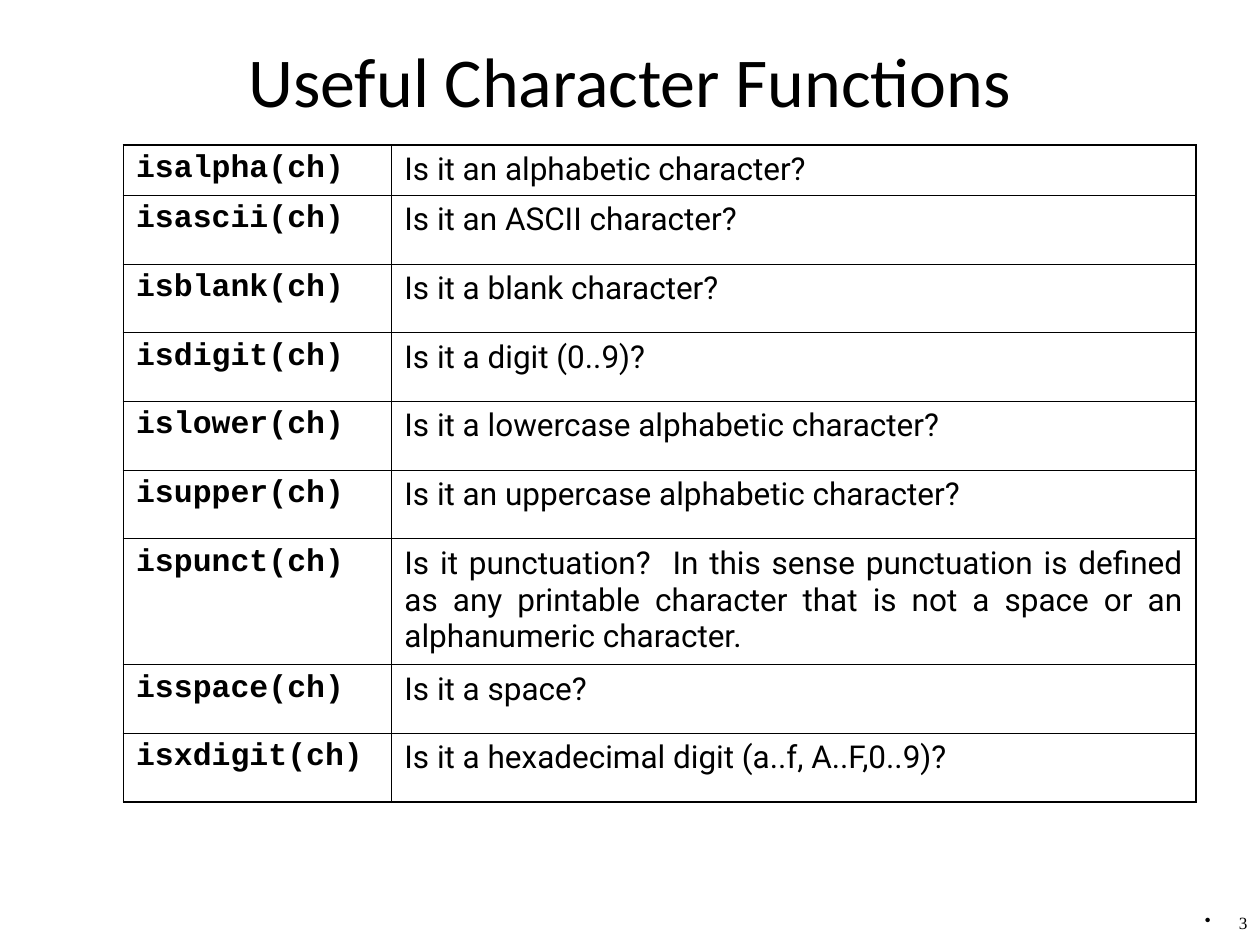
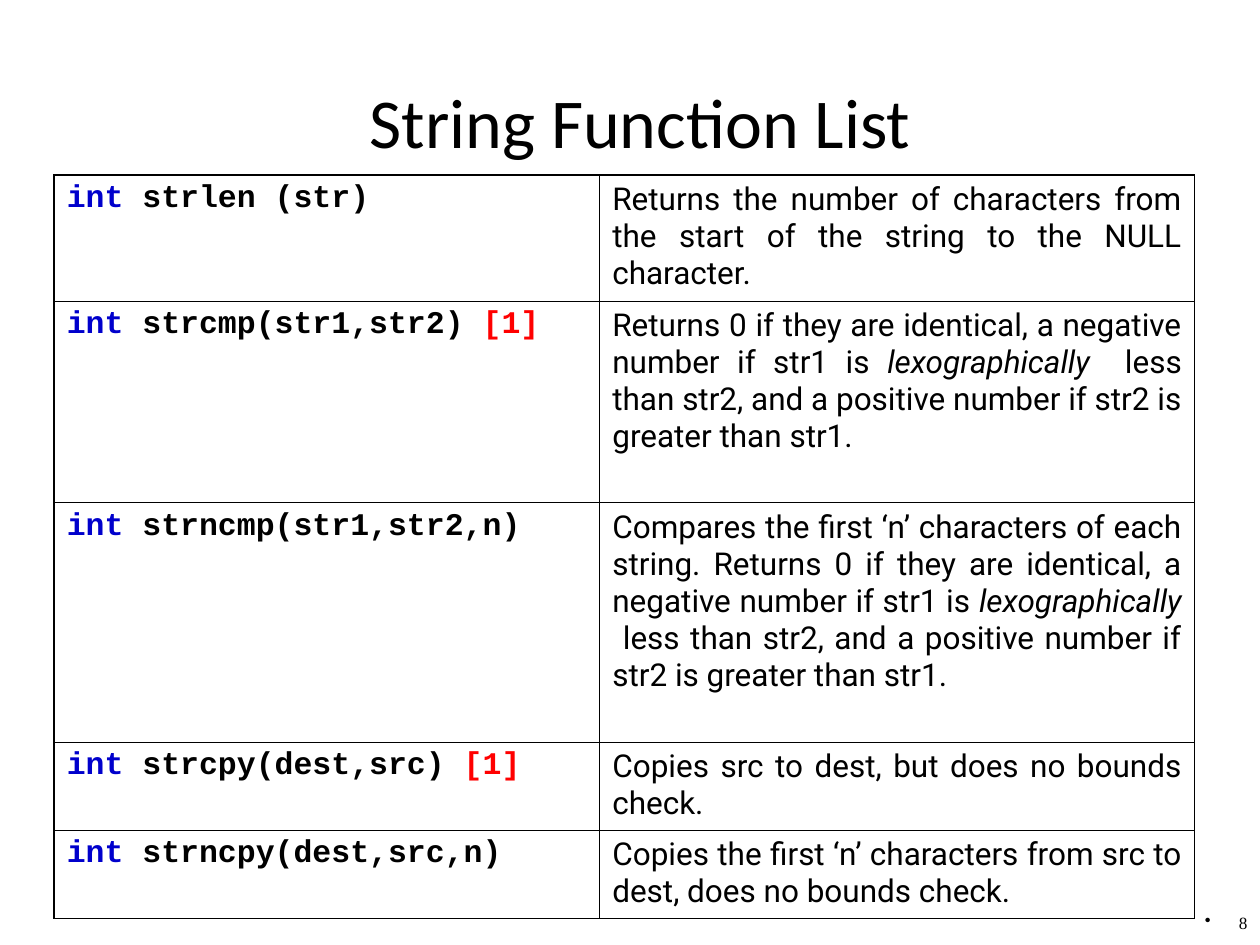
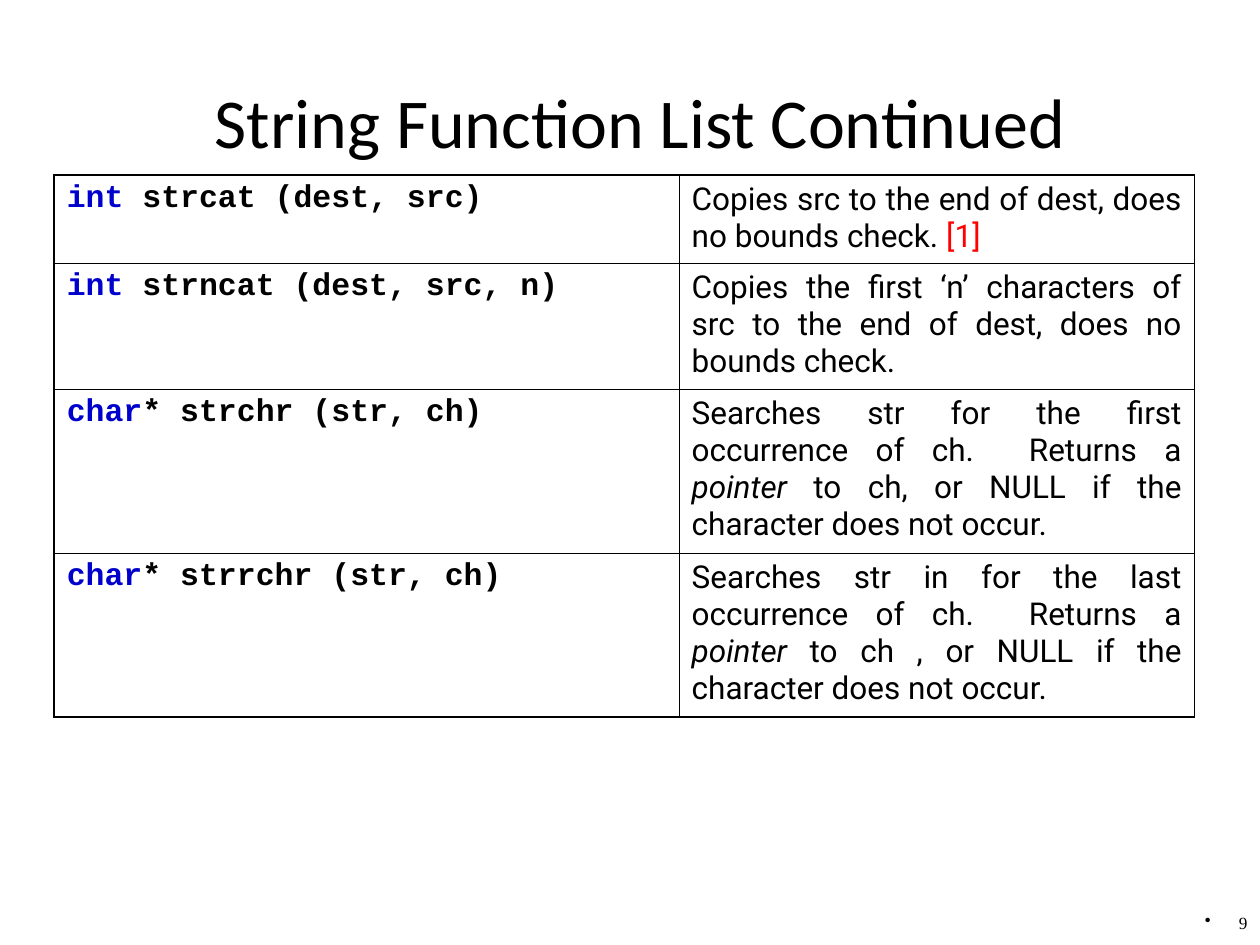
import pptx
import pptx.util
import pptx.dml.color
import pptx.enum.text
import pptx.oxml.ns
from lxml import etree

Inches = pptx.util.Inches
Pt = pptx.util.Pt
PP_ALIGN = pptx.enum.text.PP_ALIGN
ANCHOR = pptx.enum.text.MSO_ANCHOR

COLORS = {"text": "000000", "keyword": "0000CC", "note": "FF0000"}
TITLE_FONT, CODE_FONT, TEXT_FONT, NUMBER_FONT = "Calibri", "Courier New", "Roboto", "Times New Roman"
OUTER, INNER = 1.08, 0.45

CHARACTER_FUNCTIONS = [
    ("isalpha(ch)", "Is it an alphabetic character?"),
    ("isascii(ch)", "Is it an ASCII character?"),
    ("isblank(ch)", "Is it a blank character?"),
    ("isdigit(ch)", "Is it a digit (0..9)?"),
    ("islower(ch)", "Is it a lowercase alphabetic character?"),
    ("isupper(ch)", "Is it an uppercase alphabetic character?"),
    ("ispunct(ch)", "Is it punctuation?  In this sense punctuation is defined as any "
                    "printable character that is not a space or an alphanumeric character."),
    ("isspace(ch)", "Is it a space?"),
    ("isxdigit(ch)", "Is it a hexadecimal digit (a..f, A..F,0..9)?"),
]

# A cell is a plain string or a list of runs: a string, or (text, style).
INT, CHAR = ("int", "keyword"), ("char", "keyword")
NOTE = ("[1]", "note")
LEXOGRAPHICALLY = ("lexographically ", "italic")
POINTER = ("pointer ", "italic")
ORDERING = " less than str2, and a positive number if str2 is greater than str1."

STRING_FUNCTIONS = [
    ([INT, " strlen (str)"],
     "Returns the number of characters from the start of the string to the NULL character."),
    ([INT, " strcmp(str1,str2) ", NOTE],
     ["Returns 0 if they are identical, a negative number if str1 is ",
      LEXOGRAPHICALLY, ORDERING]),
    ([INT, " strncmp(str1,str2,n)"],
     ["Compares the first ‘n’ characters of each string. Returns 0 if they are identical, "
      "a negative number if str1 is ", LEXOGRAPHICALLY, ORDERING]),
    ([INT, " strcpy(dest,src) ", NOTE], "Copies src to dest, but does no bounds check."),
    ([INT, " strncpy(dest,src,n)"],
     "Copies the first ‘n’ characters from src to dest, does no bounds check."),
]

MORE_STRING_FUNCTIONS = [
    ([INT, " strcat (dest, src)"],
     ["Copies src to the end of dest, does no bounds check. ", NOTE]),
    ([INT, " strncat (dest, src, n)"],
     "Copies the first ‘n’ characters of src to the end of dest, does no bounds check."),
    ([CHAR, "* strchr (str, ch)"],
     ["Searches str for the first occurrence of ch.  Returns a ", POINTER,
      "to ch, or NULL if the character does not occur."]),
    ([CHAR, "* strrchr (str, ch)"],
     ["Searches str in for the last occurrence of ch.  Returns a ", POINTER,
      "to ch , or NULL if the character does not occur."]),
]


def rgb(name):
    return pptx.dml.color.RGBColor.from_string(COLORS[name])


def set_font(font, name, size, bold=False):
    font.name, font.size, font.bold = name, Pt(size), bold
    font.color.rgb = rgb("text")


def add_child(parent, tag, **attrs):
    return etree.SubElement(parent, pptx.oxml.ns.qn(tag), **attrs)


def add_title(s, text, left, top):
    sp = s.shapes.title
    sp.left, sp.top, sp.width, sp.height = Inches(left), Inches(top), Inches(8.5), Inches(0.71)
    tf = sp.text_frame
    tf.text = text
    tf.auto_size = pptx.enum.text.MSO_AUTO_SIZE.NONE
    tf.vertical_anchor = ANCHOR.MIDDLE
    tf.margin_left = tf.margin_right = tf.margin_top = tf.margin_bottom = 0
    p = tf.paragraphs[0]
    p.alignment = PP_ALIGN.CENTER
    set_font(p.font, TITLE_FONT, 40)


def add_page_number(s, number):
    sp = s.shapes.add_textbox(Inches(9.36), Inches(7.22), Inches(0.64), Inches(0.28))
    tf = sp.text_frame
    tf.word_wrap = True
    p = tf.paragraphs[0]
    p.text = str(number)
    p.alignment = PP_ALIGN.RIGHT
    p.line_spacing = 0.8
    pPr = p._p.get_or_add_pPr()
    indent = Inches(0.27)
    pPr.set("marL", str(indent))
    pPr.set("indent", str(-indent))
    add_child(pPr, "a:buChar", char="•")
    set_font(p.font, NUMBER_FONT, 9.8)


def set_borders(cell, **widths):
    tcPr = cell._tc.get_or_add_tcPr()
    for side in "LRTB":
        ln = add_child(tcPr, "a:ln" + side, w=str(Pt(widths[side])))
        add_child(add_child(ln, "a:solidFill"), "a:srgbClr", val=COLORS["text"])


def fill_cell(cell, content, font_name, bold):
    p = cell.text_frame.paragraphs[0]
    p.alignment = PP_ALIGN.JUSTIFY
    for run in [content] if isinstance(content, str) else content:
        text, style = (run, None) if isinstance(run, str) else run
        r = p.add_run()
        r.text = text
        set_font(r.font, font_name, 18, bold)
        if style == "italic":
            r.font.italic = True
        elif style:
            r.font.color.rgb = rgb(style)


def add_function_table(s, left, top, widths, heights, functions):
    """Add a two-column table: call in code type, then its description."""
    frame = s.shapes.add_table(len(functions), 2, Inches(left), Inches(top),
                               Inches(sum(widths)), Inches(sum(heights)))
    table = frame.table
    table.first_row = table.horz_banding = False
    for column, width in zip(table.columns, widths):
        column.width = Inches(width)
    last = len(functions) - 1
    for i, (height, contents) in enumerate(zip(heights, functions)):
        table.rows[i].height = Inches(height)
        for j, content in enumerate(contents):
            cell = table.cell(i, j)
            fill_cell(cell, content, TEXT_FONT if j else CODE_FONT, bold=j == 0)
            set_borders(cell, L=INNER if j else OUTER, R=OUTER if j else INNER,
                        T=INNER if i else OUTER, B=OUTER if i == last else INNER)
            cell.fill.background()


def add_function_slide(prs, title, title_at, number, table_at, widths, heights, functions):
    s = prs.slides.add_slide(prs.slide_layouts[5])
    add_title(s, title, *title_at)
    add_function_table(s, *table_at, widths, heights, functions)
    add_page_number(s, number)


def main():
    prs = pptx.Presentation()
    prs.slide_width, prs.slide_height = Inches(10), Inches(7.5)
    add_function_slide(prs, "Useful Character Functions", (0.75, 0.28), 3, (0.98, 1.15),
                       (2.13, 6.38), [0.4] + [0.545] * 5 + [1] + [0.545] * 2,
                       CHARACTER_FUNCTIONS)
    string_title, string_table = (0.83, 0.6), (0.43, 1.39)
    add_function_slide(prs, "String Function List", string_title, 8, string_table,
                       (4.33, 4.72), (1, 1.6, 1.9, 0.7, 0.7), STRING_FUNCTIONS)
    add_function_slide(prs, "String Function List Continued", string_title, 9, string_table,
                       (4.96, 4.09), (0.7, 1, 1.3, 1.3), MORE_STRING_FUNCTIONS)
    prs.save("out.pptx")


if __name__ == "__main__":
    main()
